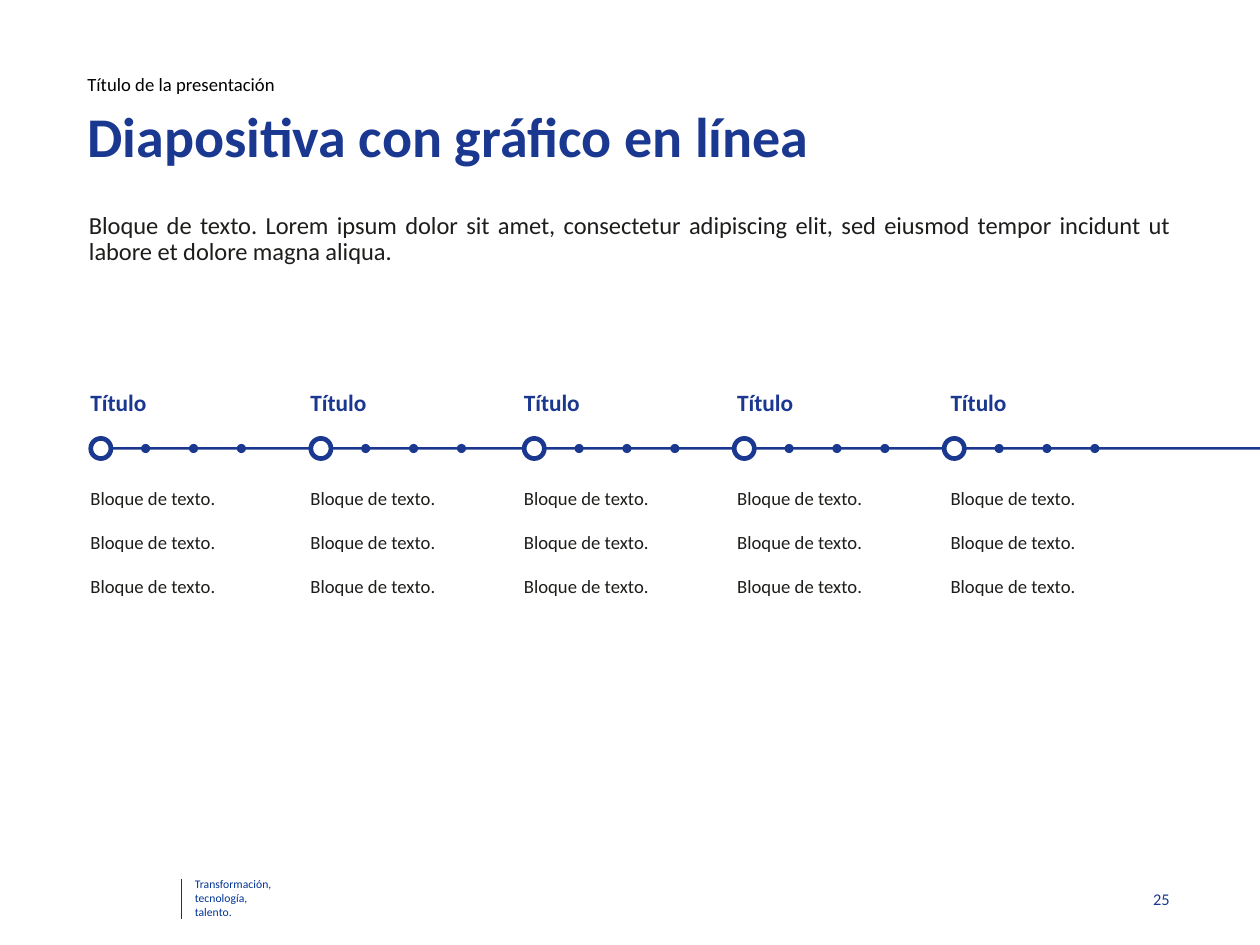
from lxml import etree
from pptx import Presentation
from pptx.dml.color import RGBColor
from pptx.enum.shapes import MSO_CONNECTOR, MSO_SHAPE
from pptx.enum.text import MSO_ANCHOR, PP_ALIGN
from pptx.oxml.ns import qn
from pptx.util import Inches, Pt

RECTANGLE, OVAL = MSO_SHAPE.RECTANGLE, MSO_SHAPE.OVAL
STRAIGHT = MSO_CONNECTOR.STRAIGHT
TOP, MIDDLE = MSO_ANCHOR.TOP, MSO_ANCHOR.MIDDLE
LEFT, RIGHT, JUSTIFY = PP_ALIGN.LEFT, PP_ALIGN.RIGHT, PP_ALIGN.JUSTIFY

COLORS = {"navy": "1B3891", "footer": "003594", "ink": "1D1D1B", "black": "000000", "white": "FFFFFF"}
FONT = "Calibri"
WIDTH = 7.5
HEIGHT = WIDTH * 3 / 4
MARGIN = 0.44
CONTENT_WIDTH = WIDTH - 2 * MARGIN

# Timeline: the first column is slightly wider than the others
COLUMN_LEFTS = [MARGIN] + [1.75 + 1.27 * i for i in range(4)]
NODE_LEFTS = [0.54, 1.85, 3.12, 4.37, 5.62]
COLUMN_WIDTH = 1.13
AXIS = 2.67
TRACK, NODE, DOT = Pt(1.1).inches, 0.12, Pt(3.9).inches
DOT_OFFSET, DOT_STEP = 0.3, 0.57 / 2

deck = Presentation()
deck.slide_width, deck.slide_height = Inches(WIDTH), Inches(HEIGHT)
page = deck.slides.add_slide(deck.slide_layouts[6])


def add_text(text, left, top, width, height, size, color, bold=False, align=LEFT,
             anchor=TOP, inset=(0.1, 0.05), spacing=1.0, gap=0):
    """Add a text box with one paragraph per line of text, gap points apart."""
    box = page.shapes.add_textbox(Inches(left), Inches(top), Inches(width), Inches(height))
    frame = box.text_frame
    frame.word_wrap = True
    frame.vertical_anchor = anchor
    frame.margin_left = frame.margin_right = Inches(inset[0])
    frame.margin_top = frame.margin_bottom = Inches(inset[1])
    frame.text = text
    for index, para in enumerate(frame.paragraphs):
        para.alignment = align
        para.line_spacing = spacing
        para.space_before = Pt(gap if index else 0)
        para.font.name = FONT
        para.font.size = Pt(size)
        para.font.bold = bold
        para.font.color.rgb = RGBColor.from_string(COLORS[color])


def add_mark(kind, left, width, height, fill, line_width=0):
    """Add a timeline shape centred vertically on the axis."""
    mark = page.shapes.add_shape(kind, Inches(left), Inches(AXIS - height / 2),
                                 Inches(width), Inches(height))
    mark.shadow.inherit = False
    mark.fill.solid()
    mark.fill.fore_color.rgb = RGBColor.from_string(COLORS[fill])
    if line_width:
        mark.line.color.rgb = RGBColor.from_string(COLORS["navy"])
        mark.line.width = Pt(line_width)
    else:
        mark.line.fill.background()


# Footer
add_text("Transformación,\ntecnología,\ntalento.", 1.12, 5.18, 0.6, 0.33, 5, "footer",
         anchor=MIDDLE, inset=(0.04, 0.04))
divider = page.shapes.add_connector(STRAIGHT, Inches(1.08), Inches(5.23), Inches(1.08), Inches(5.47))
divider.line.width = Pt(0.5)
divider.line.fill.solid()
divider.line.fill.fore_color.rgb = RGBColor.from_string(COLORS["footer"])
etree.SubElement(divider._element.spPr, qn("a:effectLst"))
add_text("25", 6.52, 5.2, 0.54, 0.3, 7, "navy", align=RIGHT, anchor=MIDDLE)

# Heading and introduction
add_text("Título de la presentación", MARGIN, 0.41, CONTENT_WIDTH, 0.19, 8, "black",
         inset=(0.08, 0.05), spacing=0.8)
add_text("Diapositiva con gráfico en línea", MARGIN, 0.63, CONTENT_WIDTH, 0.41, 24, "navy",
         bold=True, inset=(0.08, 0.05), spacing=0.8)
add_text("Bloque de texto. Lorem ipsum dolor sit amet, consectetur adipiscing elit, sed eiusmod "
         "tempor incidunt ut labore et dolore magna aliqua.",
         0.45, 1.22, 6.6, 0.79, 10.5, "ink", align=JUSTIFY, inset=(0.08, 0.05), spacing=0.9)

# Timeline
add_mark(RECTANGLE, 0.56, WIDTH - 0.56, TRACK, "navy")
for column_left, node_left in zip(COLUMN_LEFTS, NODE_LEFTS):
    add_text("Título", column_left, 2.24, COLUMN_WIDTH, 0.33, 10, "navy", bold=True,
             anchor=MIDDLE, spacing=0.9)
    add_text("\n".join(["Bloque de texto."] * 3), column_left, 2.85, COLUMN_WIDTH, 1.42, 8, "ink",
             gap=9.3)
    add_mark(OVAL, node_left, NODE, NODE, "white", line_width=2)
    for step in range(3):
        add_mark(OVAL, node_left + DOT_OFFSET + DOT_STEP * step, DOT, DOT, "navy")

deck.save("out.pptx")
